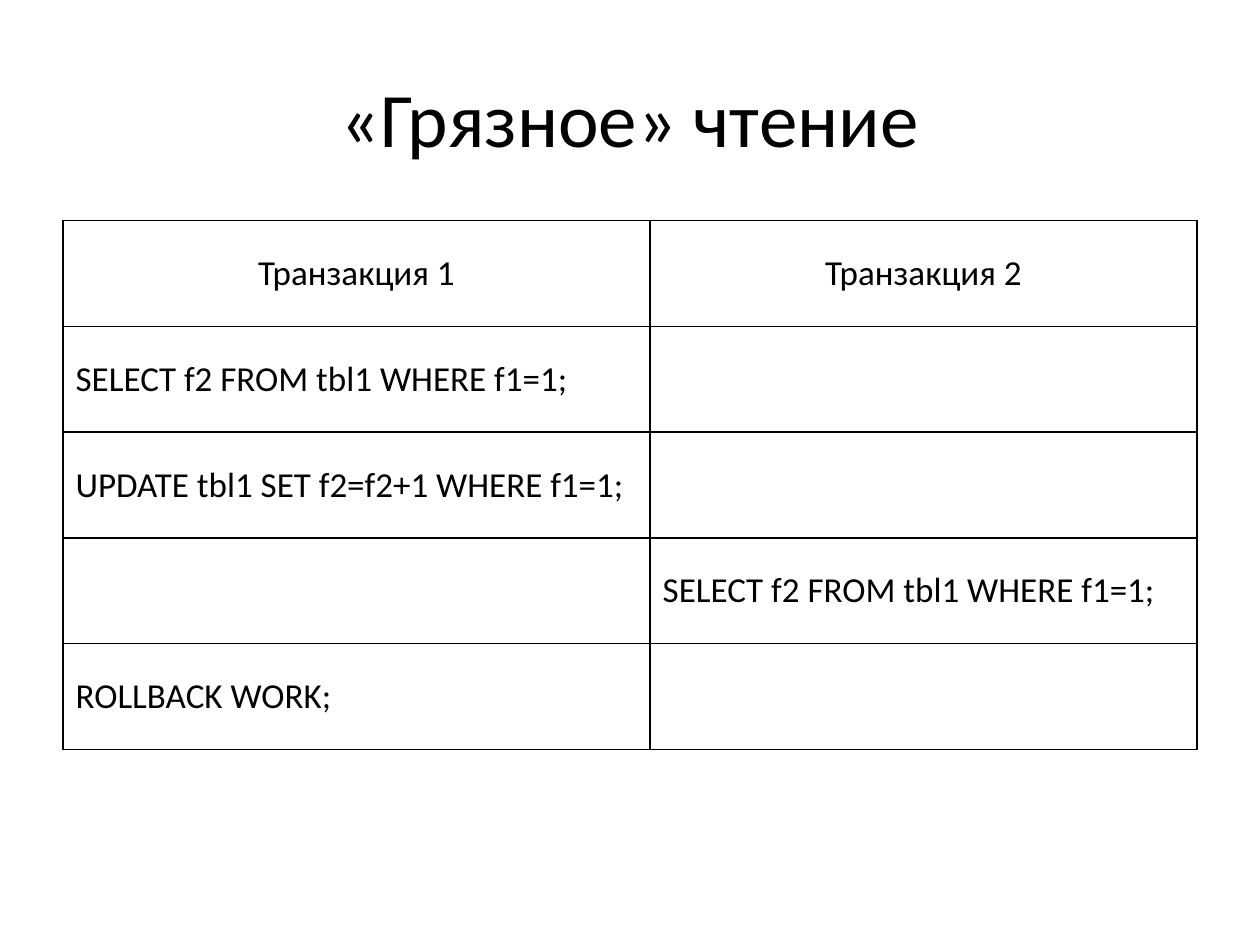
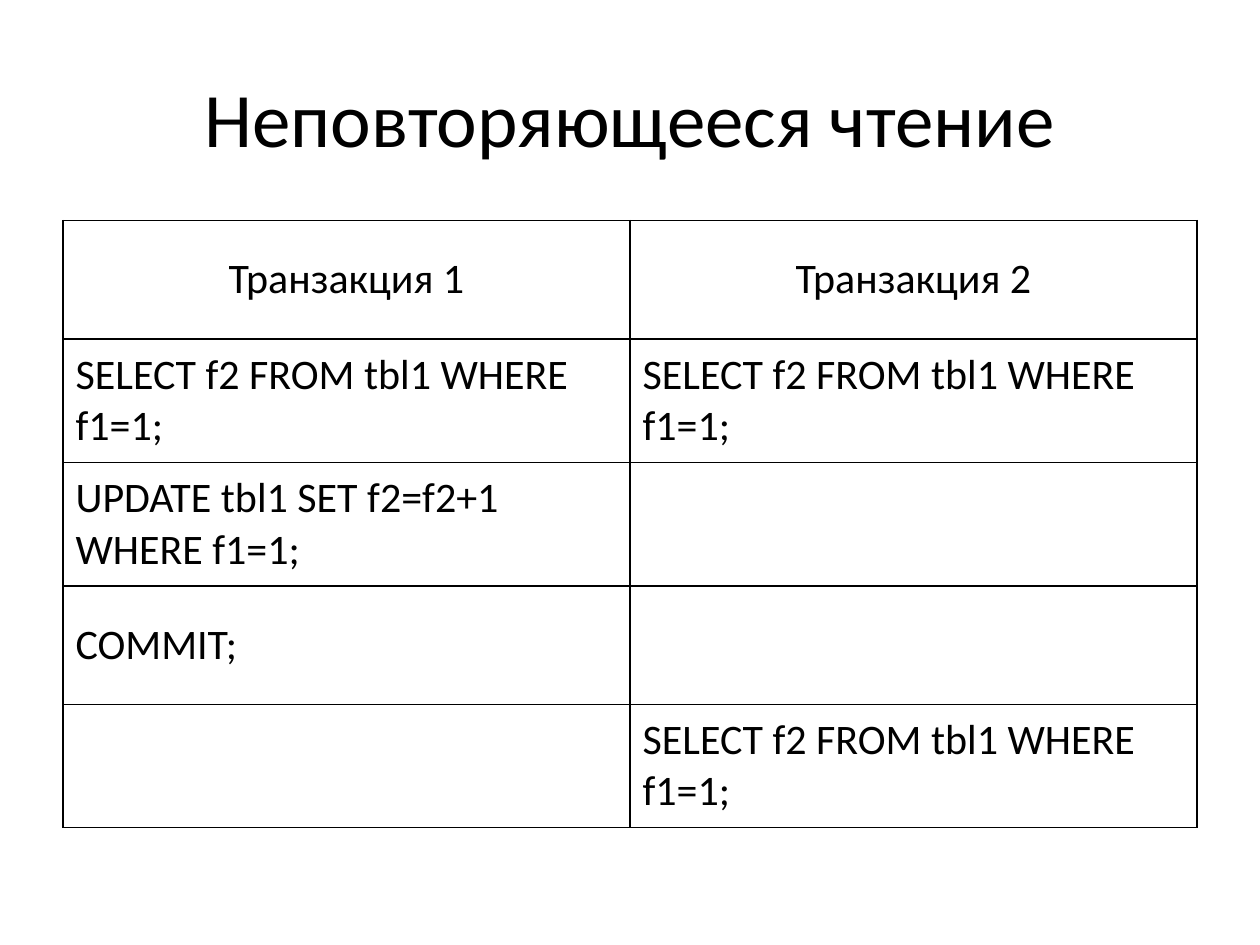
from lxml.etree import SubElement
from pptx import Presentation
from pptx.dml.color import RGBColor
from pptx.enum.text import MSO_ANCHOR, PP_ALIGN
from pptx.oxml.ns import qn
from pptx.util import Inches, Pt

FONT = "Calibri"
BLACK = "000000"
WHITE = "FFFFFF"
TITLE_BOX = (0.5, 0.3, 9, 1.25)
TABLE_LEFT, TABLE_TOP = 0.5, 1.75
HEADER = ("Транзакция 1", "Транзакция 2")
SELECT = "SELECT f2 FROM tbl1 WHERE f1=1;"
UPDATE = "UPDATE tbl1 SET f2=f2+1 WHERE f1=1;"


def color(value):
    """Turn a hex string into a colour."""
    return RGBColor.from_string(value)


def write(text_frame, text, size, alignment):
    """Write one styled run into the first paragraph."""
    paragraph = text_frame.paragraphs[0]
    paragraph.alignment = alignment
    run = paragraph.add_run()
    run.text = text
    run.font.name = FONT
    run.font.size = Pt(size)
    run.font.color.rgb = color(BLACK)


def add_title(slide, text, box):
    """Add the centred slide title in its box."""
    shape = slide.shapes.add_textbox(*map(Inches, box))
    shape.text_frame.word_wrap = True
    shape.text_frame.vertical_anchor = MSO_ANCHOR.MIDDLE
    write(shape.text_frame, text, 44, PP_ALIGN.CENTER)


def style_cell(cell):
    """Give a cell black one-point borders and a white fill."""
    properties = cell._tc.get_or_add_tcPr()
    for side in ("a:lnL", "a:lnR", "a:lnT", "a:lnB"):
        line = SubElement(properties, qn(side), w=str(Pt(1)))
        fill = SubElement(line, qn("a:solidFill"))
        SubElement(fill, qn("a:srgbClr"), val=BLACK)
    cell.fill.solid()
    cell.fill.fore_color.rgb = color(WHITE)
    cell.vertical_anchor = MSO_ANCHOR.MIDDLE


def add_transactions(slide, left, top, widths, heights, steps, size):
    """Add the table of the steps of two parallel transactions."""
    rows = [HEADER, *steps]
    frame = slide.shapes.add_table(
        len(rows), len(HEADER), Inches(left), Inches(top),
        Inches(sum(widths)), Inches(sum(heights)))
    table = frame.table
    table.first_row = table.horz_banding = False
    for column, width in zip(table.columns, widths):
        column.width = Inches(width)
    for row_index, (texts, height) in enumerate(zip(rows, heights)):
        table.rows[row_index].height = Inches(height)
        alignment = PP_ALIGN.LEFT if row_index else PP_ALIGN.CENTER
        for column_index, text in enumerate(texts):
            cell = table.cell(row_index, column_index)
            style_cell(cell)
            if text:
                write(cell.text_frame, text, size, alignment)


def add_anomaly_slide(presentation, title, widths, heights, steps, size):
    """Add a slide that shows one read anomaly step by step."""
    slide = presentation.slides.add_slide(presentation.slide_layouts[6])
    add_title(slide, title, TITLE_BOX)
    add_transactions(slide, TABLE_LEFT, TABLE_TOP, widths, heights, steps, size)


def main():
    """Build and save the presentation."""
    presentation = Presentation()
    presentation.slide_width = Inches(10)
    presentation.slide_height = Inches(7.5)
    add_anomaly_slide(
        presentation, "«Грязное» чтение", (4.66, 4.34), [0.84] * 5,
        [(SELECT, ""), (UPDATE, ""), ("", SELECT), ("ROLLBACK WORK;", "")], 20)
    add_anomaly_slide(
        presentation, "Неповторяющееся чтение", (4.5, 4.5),
        (0.94, 0.98, 0.98, 0.94, 0.98),
        [(SELECT, SELECT), (UPDATE, ""), ("COMMIT;", ""), ("", SELECT)], 24)
    presentation.save("out.pptx")


if __name__ == "__main__":
    main()
